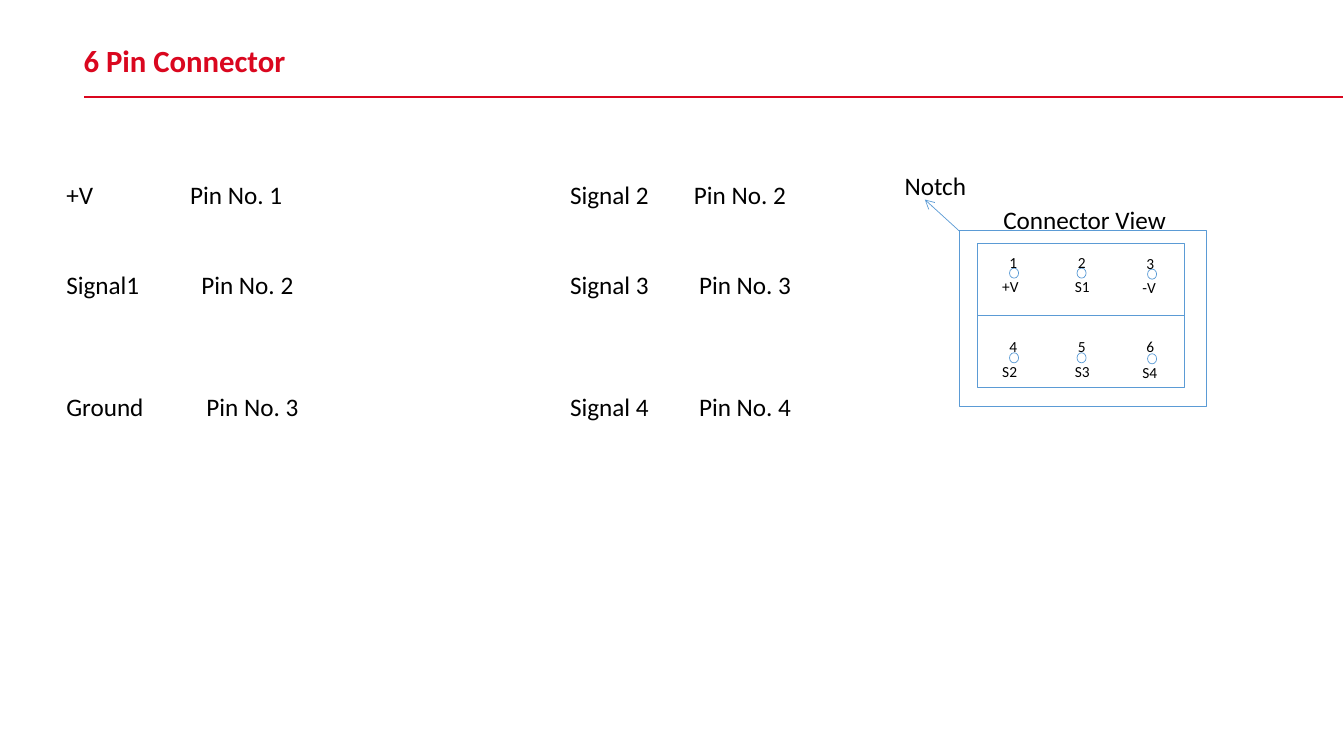
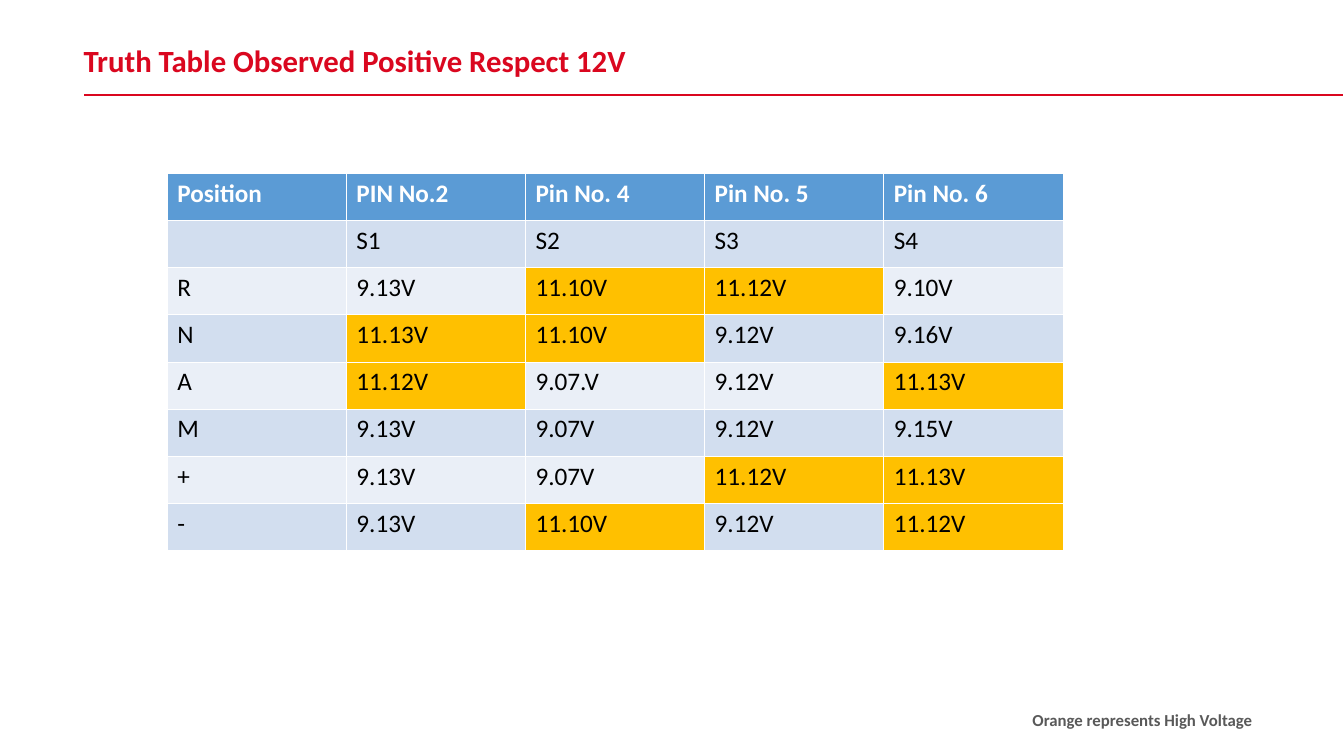
from dataclasses import dataclass

from lxml import etree
from pptx import Presentation
from pptx.dml.color import RGBColor
from pptx.enum.shapes import MSO_CONNECTOR, MSO_SHAPE
from pptx.enum.text import MSO_ANCHOR, MSO_AUTO_SIZE, PP_ALIGN
from pptx.oxml.ns import qn
from pptx.util import Emu, Pt

STRAIGHT = MSO_CONNECTOR.STRAIGHT
RECTANGLE, OVAL = MSO_SHAPE.RECTANGLE, MSO_SHAPE.OVAL
TOP, LEFT = MSO_ANCHOR.TOP, PP_ALIGN.LEFT
GROW = MSO_AUTO_SIZE.SHAPE_TO_FIT_TEXT
LEFT_SIDE, RIGHT_SIDE = 1, 3

PX = 9144  # EMU in one px, 100 px to the inch
FONT = "Calibri"
COLORS = {
    "title": "DA071F",
    "text": "000000",
    "outline": "5B9BD5",
    "header": "5B9BD5",
    "band_dark": "D2DEEF",
    "band_light": "EAEFF7",
    "high": "FFC000",
    "white": "FFFFFF",
    "note": "595959",
}


@dataclass(frozen=True)
class Box:
    left: int
    top: int
    width: int
    height: int

    def emu(self) -> tuple[Emu, ...]:
        return tuple(Emu(v * PX) for v in (self.left, self.top, self.width, self.height))


@dataclass(frozen=True)
class SignalRow:
    text: str
    tabs: tuple[int, ...]
    space_before: int


@dataclass(frozen=True)
class PinColumn:
    circle_left: int
    number_left: int
    name_left: int
    drop: int
    names: tuple[str, str]


SIGNAL_ROWS = (
    SignalRow("+V\tPin No. 1\tSignal 2\tPin No. 2", (123, 500, 623), 0),
    SignalRow("Signal1\tPin No. 2\tSignal 3\tPin No. 3", (134, 500, 628), 43),
    SignalRow("Ground\tPin No. 3\tSignal 4\tPin No. 4", (139, 500, 628), 65),
)

PIN_COLUMNS = (
    PinColumn(1002, 992, 985, 0, ("+V", "S2")),
    PinColumn(1069, 1060, 1057, 0, ("S1", "S3")),
    PinColumn(1139, 1128, 1124, 1, ("-V", "S4")),
)
PIN_ROW_PITCH = 84

TRUTH_TABLE = (
    ("Position", "PIN No.2", "Pin No. 4", "Pin No. 5", "Pin No. 6"),
    ("", "S1", "S2", "S3", "S4"),
    ("R", "9.13V", "11.10V", "11.12V", "9.10V"),
    ("N", "11.13V", "11.10V", "9.12V", "9.16V"),
    ("A", "11.12V", "9.07.V", "9.12V", "11.13V"),
    ("M", "9.13V", "9.07V", "9.12V", "9.15V"),
    ("+", "9.13V", "9.07V", "11.12V", "11.13V"),
    ("-", "9.13V", "11.10V", "9.12V", "11.12V"),
)


def rgb(name: str) -> RGBColor:
    return RGBColor.from_string(COLORS[name])


def write(paragraph, text: str, *, size: int = 18, color: str = "text",
          bold: bool = False, space_before: int = 0, tabs: tuple[int, ...] = ()) -> None:
    paragraph.alignment = LEFT
    paragraph.space_before = Pt(space_before)
    run = paragraph.add_run()
    run.text = text
    run.font.name = FONT
    run.font.size = Pt(size)
    run.font.bold = bold
    run.font.color.rgb = rgb(color)
    if tabs:
        tab_list = etree.SubElement(paragraph._p.get_or_add_pPr(), qn("a:tabLst"))
        for position in tabs:
            etree.SubElement(tab_list, qn("a:tab"), pos=str(position * PX), algn="l")


def prepare_frame(frame, wrap: bool = True) -> None:
    frame.word_wrap = wrap
    frame.auto_size = GROW
    frame.vertical_anchor = TOP


def add_label(slide, box: Box, text: str, *, wrap: bool = True, **text_format) -> None:
    frame = slide.shapes.add_textbox(*box.emu()).text_frame
    prepare_frame(frame, wrap)
    write(frame.paragraphs[0], text, **text_format)


def add_outline(slide, kind, box: Box):
    outline = slide.shapes.add_shape(kind, *box.emu())
    outline.shadow.inherit = False
    outline.fill.background()
    outline.line.color.rgb = rgb("outline")
    outline.line.width = Pt(0.5)
    return outline


def add_line(slide, start: tuple[int, int], end: tuple[int, int], *,
             color: str = "outline", width: float = 0.5, arrow: bool = False):
    line = slide.shapes.add_connector(STRAIGHT, *(Emu(v * PX) for v in start + end))
    line.line.color.rgb = rgb(color)
    line.line.width = Pt(width)
    if arrow:
        etree.SubElement(line.line._get_or_add_ln(), qn("a:tailEnd"), type="arrow")
    etree.SubElement(line._element.spPr, qn("a:effectLst"))
    return line


def add_titled_slide(prs, title: str, rule_y: int):
    slide = prs.slides.add_slide(prs.slide_layouts[5])
    heading = slide.shapes.title
    heading.left, heading.top, heading.width, heading.height = Box(73, 36, 683, 47).emu()
    prepare_frame(heading.text_frame)
    write(heading.text_frame.paragraphs[0], title, size=22, color="title", bold=True)
    add_line(slide, (1333, rule_y), (83, rule_y), color="title", width=1.5)
    return slide


def add_borders(cell, row: int) -> None:
    # The edge between the header and the body is heavier
    widths = {"L": 0.45, "R": 0.45,
              "T": 1.5 if row == 1 else 0.45, "B": 1.5 if row == 0 else 0.45}
    properties = cell._tc.get_or_add_tcPr()
    for side, width in widths.items():
        edge = etree.SubElement(properties, qn(f"a:ln{side}"), w=str(int(Pt(width))))
        fill = etree.SubElement(edge, qn("a:solidFill"))
        etree.SubElement(fill, qn("a:srgbClr"), val=COLORS["white"])


def cell_fill(row: int, value: str) -> str:
    if row == 0:
        return "header"
    if value.startswith("11."):
        return "high"
    return "band_dark" if row % 2 else "band_light"


def add_connector_view(slide) -> None:
    add_outline(slide, RECTANGLE, Box(952, 229, 245, 174))
    housing = add_outline(slide, RECTANGLE, Box(970, 241, 206, 143))
    divider = add_line(slide, (970, 313), (1176, 313))
    divider.begin_connect(housing, LEFT_SIDE)
    divider.end_connect(housing, RIGHT_SIDE)

    # Pins, numbered along each row
    for row in range(2):
        for index, column in enumerate(PIN_COLUMNS):
            drop = row * PIN_ROW_PITCH + column.drop
            number = row * len(PIN_COLUMNS) + index + 1
            add_outline(slide, OVAL, Box(column.circle_left, 266 + drop, 9, 10))
            add_label(slide, Box(column.number_left, 246 + drop - row, 33, 29),
                      str(number), size=11)
            add_label(slide, Box(column.name_left, 270 + drop, 53, 29),
                      column.names[row], size=11)

    add_label(slide, Box(986, 198, 182, 40), "Connector View", wrap=False)
    add_line(slide, (952, 229), (918, 198), arrow=True)
    add_label(slide, Box(888, 164, 81, 40), "Notch", wrap=False)


def build_connector_slide(prs) -> None:
    slide = add_titled_slide(prs, "6 Pin Connector", 96)
    add_connector_view(slide)

    # Signal list
    signals = slide.shapes.add_textbox(*Box(56, 173, 829, 250).emu()).text_frame
    prepare_frame(signals)
    for index, row in enumerate(SIGNAL_ROWS):
        paragraph = signals.add_paragraph() if index else signals.paragraphs[0]
        write(paragraph, row.text, tabs=row.tabs, space_before=row.space_before)


def build_truth_table_slide(prs) -> None:
    slide = add_titled_slide(prs, "Truth Table Observed Positive Respect 12V", 94)
    table = slide.shapes.add_table(len(TRUTH_TABLE), len(TRUTH_TABLE[0]),
                                   *Box(166, 172, 889, 374).emu()).table
    for row, values in enumerate(TRUTH_TABLE):
        for column, value in enumerate(values):
            cell = table.cell(row, column)
            add_borders(cell, row)
            cell.fill.solid()
            cell.fill.fore_color.rgb = rgb(cell_fill(row, value))
            if value:
                write(cell.text_frame.paragraphs[0], value, bold=row == 0,
                      color="text" if row else "white")

    add_label(slide, Box(1015, 699, 256, 30), "Orange represents High Voltage",
              size=12, color="note", bold=True)


def main() -> None:
    prs = Presentation()
    prs.slide_width, prs.slide_height = Emu(1334 * PX), Emu(750 * PX)
    build_connector_slide(prs)
    build_truth_table_slide(prs)
    prs.save("out.pptx")


if __name__ == "__main__":
    main()
